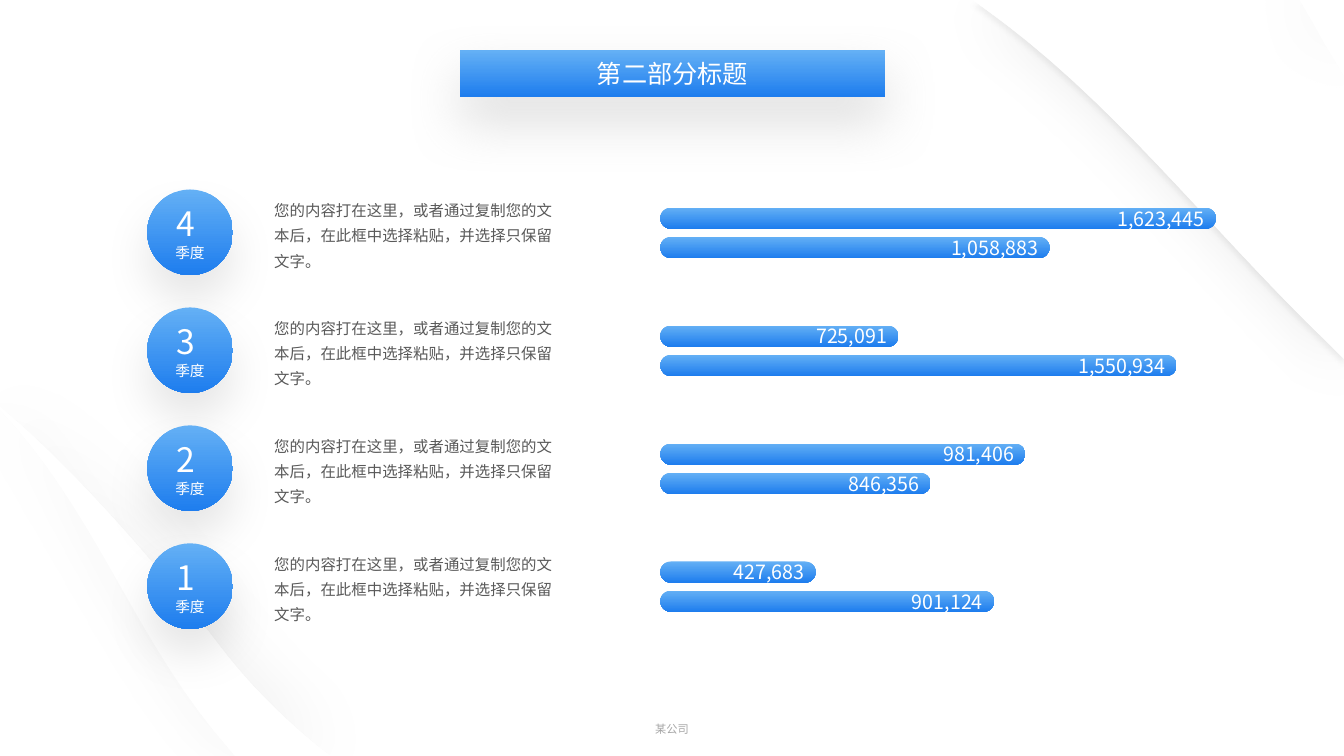
from lxml import etree
from pptx import Presentation
from pptx import util as u
from pptx.dml.color import RGBColor
from pptx.enum import shapes, text
from pptx.oxml import parse_xml
from pptx.oxml.ns import nsdecls, qn

PX = 9144  # 100 px to the inch
FONT = "Noto Sans CJK SC"
WHITE, GREY, FOOTER = "FFFFFF", "595959", "A6A6A6"
BLUES = ("64B0F5", "1E7DEE")


def paint(s, colors, shadow=None, alpha=None):
    """Fill with one colour or a vertical gradient; shadow is colour, alpha %, blur pt, distance pt, angle."""
    if len(colors) == 1:
        s.fill.solid()
        s.fill.fore_color.rgb = RGBColor.from_string(colors[0])
        if alpha:
            clr = s._element.spPr.find(".//" + qn("a:srgbClr"))
            etree.SubElement(clr, qn("a:alpha"), val=str(alpha * 1000))
    else:
        s.fill.gradient()
        s.fill.gradient_angle = 270
        for stop, color, position in zip(s.fill.gradient_stops, colors, (0, 1)):
            stop.color.rgb = RGBColor.from_string(color)
            stop.position = position
    s.line.fill.background()
    s.shadow.inherit = False
    if shadow:
        color, opacity, blur, dist, angle = shadow
        s._element.spPr.find(qn("a:effectLst")).append(parse_xml(
            f'<a:outerShdw {nsdecls("a")} blurRad="{blur * 12700}" dist="{dist * 12700}" '
            f'dir="{angle * 60000}" algn="ctr" rotWithShape="0">'
            f'<a:srgbClr val="{color}"><a:alpha val="{opacity * 1000}"/></a:srgbClr></a:outerShdw>'))


def write(s, content, size, color, align, anchor, insets=(10, 5, 10, 5)):
    """Set the text of a shape with its insets in px, and return the text frame."""
    tf = s.text_frame
    tf.text = content
    tf.word_wrap = True
    tf.auto_size = text.MSO_AUTO_SIZE.NONE
    tf.vertical_anchor = anchor
    tf.margin_left, tf.margin_top, tf.margin_right, tf.margin_bottom = [i * PX for i in insets]
    p = tf.paragraphs[0]
    p.alignment = align
    for r in p.runs:
        r.font.size = u.Pt(size)
        r.font.name = FONT
        r.font.color.rgb = RGBColor.from_string(color)
        etree.SubElement(r._r.get_or_add_rPr(), qn("a:ea"), typeface=FONT)
    return tf


prs = Presentation()
prs.slide_width, prs.slide_height = 1333 * PX, 750 * PX
slide = prs.slides.add_slide(prs.slide_layouts[5])
sp = slide.shapes
ALIGN, ANCHOR = text.PP_ALIGN, text.MSO_ANCHOR

# Background waves: pairs are corners, sixes are Bézier segments
left_wave = [(0, 403), (3, 406), (42, 439, 122, 515, 225, 650), (253, 685, 284, 715, 316, 741),
             (328, 750), (0, 750)]
left_valley = [(0, 407), (1, 408), (91, 503, 129, 622, 212, 725), (233, 750), (0, 750)]
left_inner = [(0, 469), (20, 492), (77, 563, 110, 649, 161, 729), (175, 750), (96, 750), (94, 747),
              (73, 692, 52, 638, 19, 591), (0, 567)]
left_crest = left_wave[:5] + [(233, 750), (212, 725), (129, 622, 91, 503, 1, 408), (0, 407)]
right_wave = [(964, 0), (1289, 0), (1303, 24), (1309, 35, 1315, 46, 1322, 57), (1333, 76),
              (1333, 356), (1318, 341), (1198, 226, 1101, 95, 969, 3)]
right_whole = [(964, 0), (1333, 0), (1333, 356), (1325, 348), (1212, 241, 1120, 119, 1001, 27), (969, 3)]
right_inner = [(1177, 0), (1246, 0), (1260, 25), (1279, 60, 1297, 94, 1316, 128), (1333, 156),
               (1333, 319), (1320, 295), (1272, 201, 1244, 95, 1186, 12)]
right_corner = [(1289, 0), (1333, 0), (1333, 76), (1322, 57), (1315, 46, 1309, 35, 1303, 24)]

edge = ("000000", 5, 4, 4, 90)
below = ("000000", 5, 40, 10, 90)
above = ("000000", 5, 49, 7, 270)
layers = [(left_wave, edge, None), (left_valley, below, None), (left_valley, None, None),
          (left_inner, None, None), (left_crest, above, None), (left_crest, None, None),
          (left_wave, None, 20),
          (right_whole, edge, None), (right_wave, below, None), (right_wave, None, None),
          (right_inner, None, None), (right_corner, above, None), (right_corner, None, None),
          (right_whole, None, 20)]
for outline, shadow, alpha in layers:
    points = []
    for seg in outline:
        if len(seg) == 2:
            points.append(seg)
            continue
        (x0, y0), (x1, y1, x2, y2, x3, y3) = points[-1], seg
        for t in [i / 16 for i in range(1, 17)]:
            a, b, c, d = (1 - t) ** 3, 3 * t * (1 - t) ** 2, 3 * t * t * (1 - t), t ** 3
            points.append((a * x0 + b * x1 + c * x2 + d * x3, a * y0 + b * y1 + c * y2 + d * y3))
    points = [(x * PX, y * PX) for x, y in points]
    builder = sp.build_freeform(*points[0])
    builder.add_line_segments(points[1:], close=True)
    paint(builder.convert_to_shape(), [WHITE], shadow, alpha)

# Footer
footer = sp.add_textbox(643 * PX, 711 * PX, 47 * PX, 24 * PX)
tf = write(footer, "某公司", 8, FOOTER, ALIGN.CENTER, ANCHOR.BOTTOM, (5, 5, 5, 5))
tf.word_wrap = False

# Title pill
title = sp.title
title.left, title.top, title.width, title.height = 456 * PX, 50 * PX, 422 * PX, 46 * PX
title._element.spPr.append(parse_xml(f'<a:prstGeom {nsdecls("a")} prst="roundRect"><a:avLst/></a:prstGeom>'))
title.adjustments[0] = 0.5
paint(title, BLUES, ("808080", 25, 39, 18, 90))
write(title, "第二部分标题", 18, WHITE, ALIGN.CENTER, ANCHOR.MIDDLE)

# One row per quarter: number, then (label, width) of its two bars
quarters = [("4", [("1,623,445", 551), ("1,058,883", 386)]),
            ("3", [("725,091", 236), ("1,550,934", 512)]),
            ("2", [("981,406", 362), ("846,356", 268)]),
            ("1", [("427,683", 154), ("901,124", 331)])]
body = "您的内容打在这里，或者通过复制您的文本后，在此框中选择粘贴，并选择只保留文字。"
for row, (number, bars) in enumerate(quarters):
    top = 188 + 117 * row

    for i, (label, width) in enumerate(bars):
        bar = sp.add_shape(shapes.MSO_SHAPE.ROUNDED_RECTANGLE,
                           655 * PX, (top + 18 + 29 * i) * PX, width * PX, 21 * PX)
        bar.adjustments[0] = 0.5
        paint(bar, BLUES)
        write(bar, label, 14, WHITE, ALIGN.RIGHT, ANCHOR.MIDDLE, (0, 5, 8, 5))

    note = sp.add_textbox(272 * PX, (top + 5) * PX, 276 * PX, 76 * PX)
    tf = write(note, body, 11, GREY, ALIGN.JUSTIFY, ANCHOR.TOP, (0, 0, 0, 0))
    p = tf.paragraphs[0]
    p.line_spacing, p.space_before = u.Pt(18), u.Pt(12)

    circle = sp.add_shape(shapes.MSO_SHAPE.OVAL, 146 * PX, top * PX, 85 * PX, 85 * PX)
    paint(circle, BLUES, ("000000", 10, 33, 18, 90))
    tf = write(circle, number + " \v季度", 24, WHITE, ALIGN.CENTER, ANCHOR.MIDDLE)
    tf.paragraphs[0].runs[1].font.size = u.Pt(10.5)

prs.save("out.pptx")
